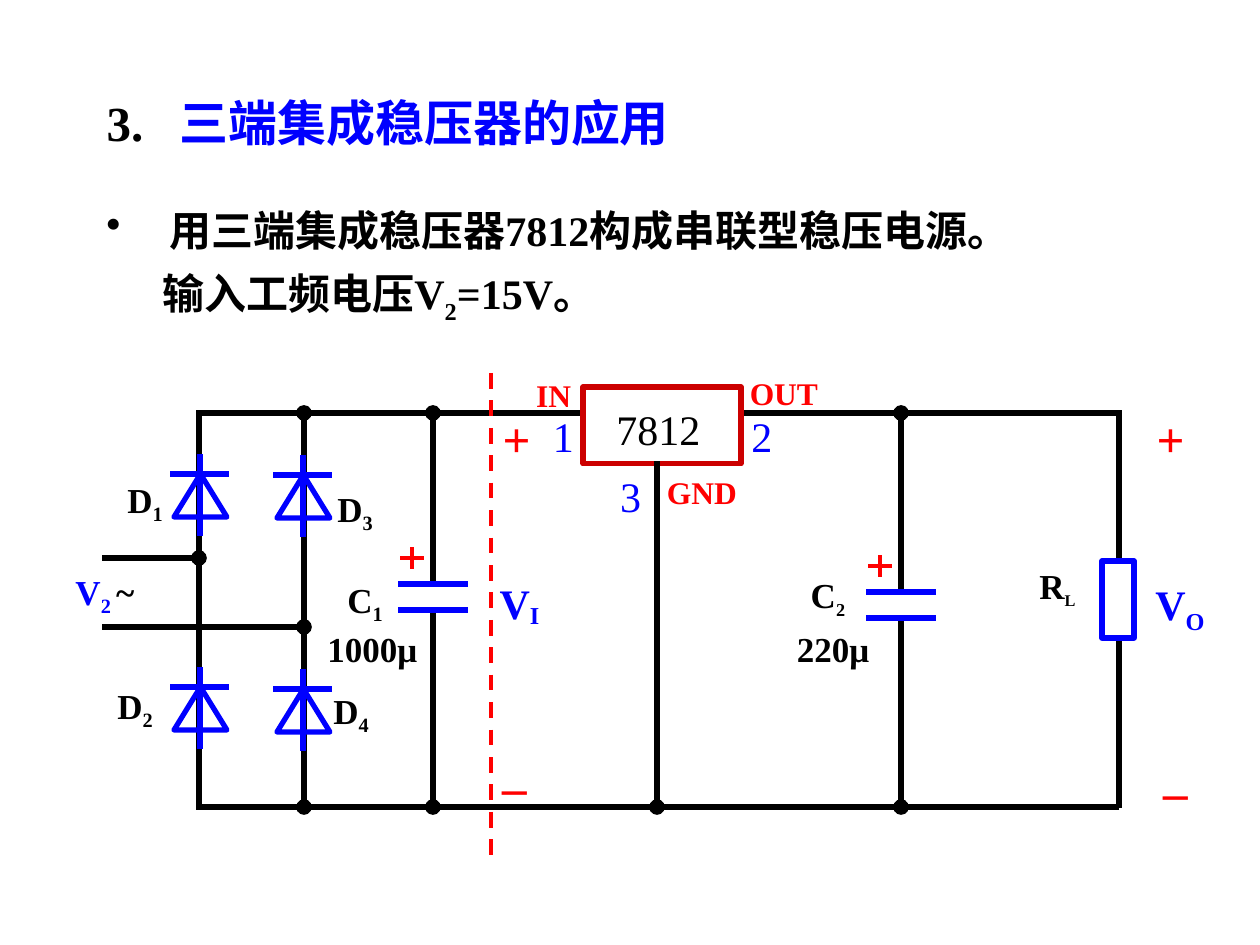
from lxml.etree import SubElement
from pptx import Presentation
from pptx.dml.color import RGBColor
from pptx.enum.dml import MSO_LINE_DASH_STYLE as DASH
from pptx.enum.shapes import MSO_CONNECTOR as CONNECTOR, MSO_SHAPE as SHAPE
from pptx.enum.text import MSO_ANCHOR as ANCHOR, MSO_AUTO_SIZE as AUTO_SIZE, PP_ALIGN as ALIGN
from pptx.oxml.ns import qn
from pptx.util import Inches, Pt

PX = 914400 / 126
BLACK = RGBColor(0, 0, 0)
WHITE = RGBColor(255, 255, 255)
BLUE = RGBColor(0, 0, 255)
RED = RGBColor(255, 0, 0)
DARK_RED = RGBColor(204, 0, 0)


def add_span(para, text, size=20, color=BLACK, bold=True, baseline=0):
    span = para.add_run()
    span.text = text
    span.font.name = "Times New Roman"
    span.font.size = Pt(size)
    span.font.bold = bold
    span.font.color.rgb = color
    if baseline:
        span.font._element.set("baseline", str(baseline * 1000))


def add_line(x1, y1, x2, y2, color=BLACK, width=3, head=False, tail=False, dash=None):
    line = page.shapes.add_connector(
        CONNECTOR.STRAIGHT, *[round(v * PX) for v in (x1, y1, x2, y2)])
    line.line.color.rgb = color
    line.line.width = Pt(width)
    outline = line.line._get_or_add_ln()
    if dash:
        line.line.dash_style = dash
    else:
        outline.set("cap", "sq")
    for tag, dotted in (("a:headEnd", head), ("a:tailEnd", tail)):
        if dotted:
            SubElement(outline, qn(tag), type="oval")
    SubElement(line._element.spPr, qn("a:effectLst"))


deck = Presentation()
deck.slide_width, deck.slide_height = Inches(10), Inches(7.5)
page = deck.slides.add_slide(deck.slide_layouts[5])

# Title, with a tab between number and wording
title = page.shapes.title
title.left, title.top, title.width, title.height = [round(v * PX) for v in (94, 86, 893, 72)]
frame = title.text_frame
frame.vertical_anchor = ANCHOR.TOP
frame.auto_size = AUTO_SIZE.NONE
para = frame.paragraphs[0]
para.alignment = ALIGN.LEFT
tabs = SubElement(para._p.get_or_add_pPr(), qn("a:tabLst"))
SubElement(tabs, qn("a:tab"), pos=str(round(73 * PX)), algn="l")
add_span(para, "3.\t", size=28)
add_span(para, "三端集成稳压器的应用", size=28, color=BLUE)

# Description
box = page.shapes.add_textbox(*[round(v * PX) for v in (94, 198, 1012, 134)])
frame = box.text_frame
frame.word_wrap = True
para = frame.paragraphs[0]
props = para._p.get_or_add_pPr()
props.set("marL", str(round(63 * PX)))
props.set("indent", str(round(-63 * PX)))
SubElement(props, qn("a:buChar"), char="•")
add_span(para, "用三端集成稳压器7812构成串联型稳压电源。", size=24)
para = frame.add_paragraph()
para.space_before = Pt(7.5)
para._p.get_or_add_pPr().set("marL", str(round(56 * PX)))
for text, baseline in (("输入工频电压V", 0), ("2", -25), ("=15V。", 0)):
    add_span(para, text, size=24, baseline=baseline)

# Wires
TOP, BOTTOM = 413, 807
add_line(199, TOP, 199, BOTTOM)
add_line(304, TOP, 304, BOTTOM, head=True, tail=True)
add_line(199, TOP, 619, TOP)
add_line(741, TOP, 1116, TOP)
add_line(199, BOTTOM, 1116, BOTTOM)
add_line(1119, TOP, 1119, 805)
add_line(105, 558, 199, 558, tail=True)
add_line(105, 627, 304, 627, tail=True)

# Capacitors with plates and polarity mark
for x, y in ((433, 584), (901, 592)):
    add_line(x, TOP, x, y, head=True)
    add_line(x, y + 26, x, BOTTOM, tail=True)
    for plate in (y, y + 26):
        add_line(x - 32, plate, x + 32, plate, color=BLUE)
    add_line(x - 31, y - 26, x - 11, y - 26, color=RED, width=2.25)
    add_line(x - 21, y - 35, x - 21, y - 17, color=RED, width=2.25)

# Bridge diodes, regulator and load
DIODES = ((200, 474), (303, 475), (200, 687), (303, 689))
parts = [(SHAPE.ISOSCELES_TRIANGLE, x - 26, y, 53, 43, BLUE, False) for x, y in DIODES]
parts += [(SHAPE.RECTANGLE, 583, 387, 158, 77, DARK_RED, True),
          (SHAPE.RECTANGLE, 1102, 561, 32, 77, BLUE, True)]
for kind, x, y, width, height, color, filled in parts:
    part = page.shapes.add_shape(kind, *[round(v * PX) for v in (x, y, width, height)])
    part.shadow.inherit = False
    part.line.color.rgb = color
    part.line.width = Pt(3)
    if filled:
        part.fill.solid()
        part.fill.fore_color.rgb = WHITE
    else:
        part.fill.background()
for x, y in DIODES:
    add_line(x - 27, y, x + 26, y, color=BLUE)
    add_line(x, y - 17, x, y + 59, color=BLUE)
add_line(657, 464, 657, BOTTOM, tail=True)

# Labels: spans as (text, format), then left, top, width, height, alignment
SUB = dict(baseline=-25)
PIN = dict(size=24, color=BLUE, bold=False)
PIN_NAME = dict(size=18, color=RED)
SIGN = dict(size=28, color=RED)
VOLTAGE = dict(size=24, color=BLUE)
LEFT, CENTER = ALIGN.LEFT, ALIGN.CENTER
LABELS = [
    ([("D", {}), ("1", SUB)], 115, 472, 73, 60, LEFT),
    ([("D", {}), ("2", SUB)], 105, 678, 73, 60, LEFT),
    ([("D", {}), ("3", SUB)], 325, 481, 73, 60, LEFT),
    ([("D", {}), ("4", SUB)], 321, 683, 73, 60, LEFT),
    ([("V", dict(color=BLUE)), ("2 ", dict(color=BLUE, baseline=-25)), ("~", {})],
     63, 564, 118, 60, LEFT),
    ([("C", {}), ("1", SUB)], 335, 572, 105, 60, LEFT),
    ([("1000μ", {})], 315, 621, 189, 55, LEFT),
    ([("C", {}), ("2", dict(size=18, baseline=-25))], 795, 567, 66, 59, CENTER),
    ([("220μ", {})], 781, 621, 104, 55, CENTER),
    ([("R", {}), ("L", dict(size=16, baseline=-25))], 1027, 558, 84, 58, LEFT),
    ([("7812", dict(size=24, bold=False))], 569, 397, 179, 63, CENTER),
    ([("1", PIN)], 532, 404, 63, 63, CENTER),
    ([("2", PIN)], 720, 404, 84, 63, CENTER),
    ([("3", PIN)], 583, 464, 95, 63, CENTER),
    ([("IN", PIN_NAME)], 501, 370, 105, 50, CENTER),
    ([("OUT", PIN_NAME)], 726, 368, 116, 50, CENTER),
    ([("GND", PIN_NAME)], 644, 467, 116, 50, CENTER),
    ([("+", SIGN)], 490, 402, 53, 72, CENTER),
    ([("_", SIGN)], 488, 733, 53, 72, CENTER),
    ([("+", SIGN)], 1144, 402, 53, 72, CENTER),
    ([("_", SIGN)], 1149, 738, 53, 72, CENTER),
    ([("V", VOLTAGE), ("I", dict(VOLTAGE, baseline=-12))], 479, 571, 81, 64, CENTER),
    ([("V", VOLTAGE), ("O", dict(VOLTAGE, baseline=-25))], 1143, 572, 90, 71, LEFT),
]
for spans, x, y, width, height, align in LABELS:
    box = page.shapes.add_textbox(*[round(v * PX) for v in (x, y, width, height)])
    box.text_frame.word_wrap = True
    para = box.text_frame.paragraphs[0]
    para.alignment = align
    for text, style in spans:
        add_span(para, text, **style)

# Boundary between rectifier and regulator
add_line(491, 373, 491, 859, color=RED, width=2.25, dash=DASH.DASH)

deck.save("out.pptx")
